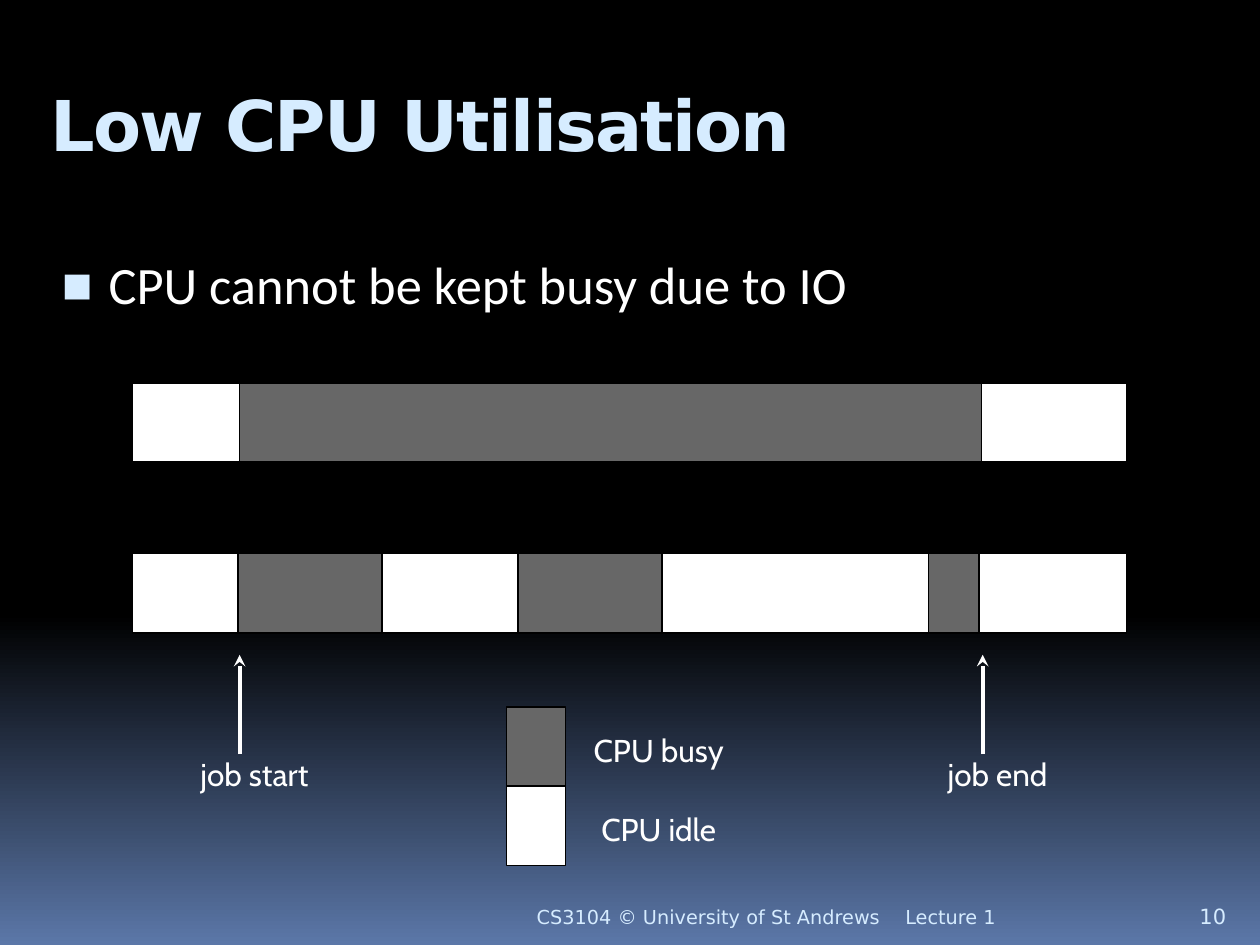
from copy import deepcopy
from dataclasses import dataclass

from pptx import Presentation
from pptx.dml.color import RGBColor
from pptx.enum import shapes, text
from pptx.oxml import ns
from pptx.oxml.xmlchemy import OxmlElement
from pptx.util import Cm, Pt


@dataclass(frozen=True)
class Theme:
    accent: str = "D6ECFF"
    white: str = "FFFFFF"
    black: str = "000000"
    busy: str = "676767"
    glow: str = "5B77A8"
    heading_font: str = "DejaVu Sans"
    body_font: str = "Calibri"
    label_font: str = "Cabin"
    title_size: int = 40
    body_size: int = 30
    label_size: int = 18
    number_size: int = 12
    footer_size: int = 11


THEME = Theme()
BAR_HEIGHT = 1.6
CENTER = text.PP_ALIGN.CENTER


def color(value):
    return RGBColor.from_string(value)


def append_xml(parent, tag, **attributes):
    element = OxmlElement(tag)
    for name, value in attributes.items():
        element.set(name, value)
    parent.append(element)
    return element


def write(shape, content, *, font, size, fill=THEME.white, bold=False,
          align=text.PP_ALIGN.LEFT, anchor=text.MSO_ANCHOR.TOP, wrap=True):
    frame = shape.text_frame
    frame.word_wrap = wrap
    frame.auto_size = text.MSO_AUTO_SIZE.NONE
    frame.vertical_anchor = anchor
    paragraph = frame.paragraphs[0]
    paragraph.alignment = align
    run = paragraph.add_run()
    run.text = content
    run.font.name = font
    run.font.size = Pt(size)
    run.font.bold = bold
    run.font.color.rgb = color(fill)
    return paragraph


def add_text(slide, box, content, **formatting):
    shape = slide.shapes.add_textbox(*map(Cm, box))
    return write(shape, content, **formatting)


def add_block(slide, box, fill):
    block = slide.shapes.add_shape(shapes.MSO_SHAPE.RECTANGLE, *map(Cm, box))
    block.shadow.inherit = False
    block.fill.solid()
    block.fill.fore_color.rgb = color(fill)
    block.line.color.rgb = color(THEME.black)
    block.line.width = Pt(1)


def paint_background(slide):
    """Black down to 65 %, then fading to blue at the bottom."""
    fill = slide.background.fill
    fill.gradient()
    fill.gradient_angle = 270
    first, last = fill.gradient_stops
    first.position, last.position = 0, 1
    first.color.rgb = color(THEME.black)
    last.color.rgb = color(THEME.glow)
    stops = slide.element.find(".//" + ns.qn("a:gsLst"))
    middle = deepcopy(stops[0])
    middle.set("pos", "65000")
    stops.insert(1, middle)


def set_title(slide, box, content):
    title = slide.shapes.title
    title.left, title.top, title.width, title.height = map(Cm, box)
    title.text_frame.margin_left = Cm(0.22)
    title.text_frame.margin_top = Cm(0.22)
    paragraph = write(title, content, font=THEME.heading_font,
                      size=THEME.title_size, fill=THEME.accent, bold=True)
    paragraph.runs[0].font._element.set("spc", "-100")


def add_bullet(slide, box, content):
    paragraph = add_text(slide, box, content, font=THEME.body_font,
                         size=THEME.body_size)
    paragraph.space_before = Pt(7)
    properties = paragraph._p.get_or_add_pPr()
    properties.set("marL", str(Cm(1.14)))
    properties.set("indent", str(Cm(-0.97)))
    bullet_color = append_xml(properties, "a:buClr")
    append_xml(bullet_color, "a:srgbClr", val=THEME.accent)
    append_xml(properties, "a:buSzPct", val="95000")
    append_xml(properties, "a:buFont", typeface=THEME.heading_font)
    append_xml(properties, "a:buChar", char="▪")


def add_timeline(slide, box, busy_periods):
    """Idle bar with busy periods given as (offset, width)."""
    left, top, _, height = box
    add_block(slide, box, THEME.white)
    for offset, width in busy_periods:
        add_block(slide, (left + offset, top, width, height), THEME.busy)


def add_marker(slide, box, content):
    """Upward arrow on the left edge of the box, its label at the foot."""
    left, top, width, height = box
    arrow = slide.shapes.add_connector(
        shapes.MSO_CONNECTOR.STRAIGHT,
        Cm(left), Cm(top + height), Cm(left), Cm(top))
    arrow.line.color.rgb = color(THEME.white)
    arrow.line.width = Pt(2.25)
    append_xml(arrow.line._get_or_add_ln(), "a:tailEnd", type="stealth")
    append_xml(arrow._element.spPr, "a:effectLst")
    label_left = left + 0.3 - width / 2
    add_text(slide, (label_left, top + height - 0.1, width, BAR_HEIGHT),
             content, font=THEME.label_font, size=THEME.label_size,
             align=CENTER, wrap=False)


def add_legend(slide, box, entries):
    left, top, width, height = box
    swatch = 1.19
    row_height = height / len(entries)
    for row, (content, fill) in enumerate(entries):
        row_top = top + row * row_height
        add_block(slide, (left, row_top, swatch, row_height), fill)
        add_text(slide, (left + swatch, row_top + 0.36, width - swatch, 1.02),
                 content, font=THEME.label_font, size=THEME.label_size,
                 align=CENTER)


def add_footer(slide, box, course, lecture, number):
    left, top, width, height = box
    course_width, lecture_width, number_width = 17.2, 5.92, 1.27
    columns = [
        (left, course_width, course, THEME.footer_size, text.PP_ALIGN.RIGHT),
        (left + course_width, lecture_width, lecture, THEME.footer_size,
         text.PP_ALIGN.LEFT),
        (left + width - number_width, number_width, number,
         THEME.number_size, text.PP_ALIGN.LEFT),
    ]
    for column_left, column_width, content, size, align in columns:
        add_text(slide, (column_left, top, column_width, height), content,
                 font=THEME.heading_font, size=size, fill=THEME.accent,
                 align=align, anchor=text.MSO_ANCHOR.BOTTOM)


def main():
    presentation = Presentation()
    presentation.slide_width, presentation.slide_height = Cm(25.4), Cm(19.05)
    slide = presentation.slides.add_slide(presentation.slide_layouts[5])
    paint_background(slide)
    set_title(slide, (0.8, 1.42, 23.83, 2.54), "Low CPU Utilisation")
    add_bullet(slide, (0.8, 4.95, 23.83, 12.7),
               "CPU cannot be kept busy due to IO")
    add_footer(slide, (0.8, 17.83, 24.4, 1.02),
               "CS3104 © University of St Andrews", "Lecture 1", "10")
    timelines = [(7.72, [(2.16, 14.96)]),
                 (11.16, [(2.13, 2.9), (7.77, 2.9), (16.05, 1.02)])]
    for top, busy_periods in timelines:
        add_timeline(slide, (2.67, top, 20.04, BAR_HEIGHT), busy_periods)
    add_marker(slide, (4.83, 13.2, 3.96, 2), "job start")
    add_marker(slide, (19.81, 13.2, 3.63, 2), "job end")
    add_legend(slide, (10.21, 14.25, 4.95, 2 * BAR_HEIGHT),
               [("CPU busy", THEME.busy), ("CPU idle", THEME.white)])
    presentation.save("out.pptx")


if __name__ == "__main__":
    main()
